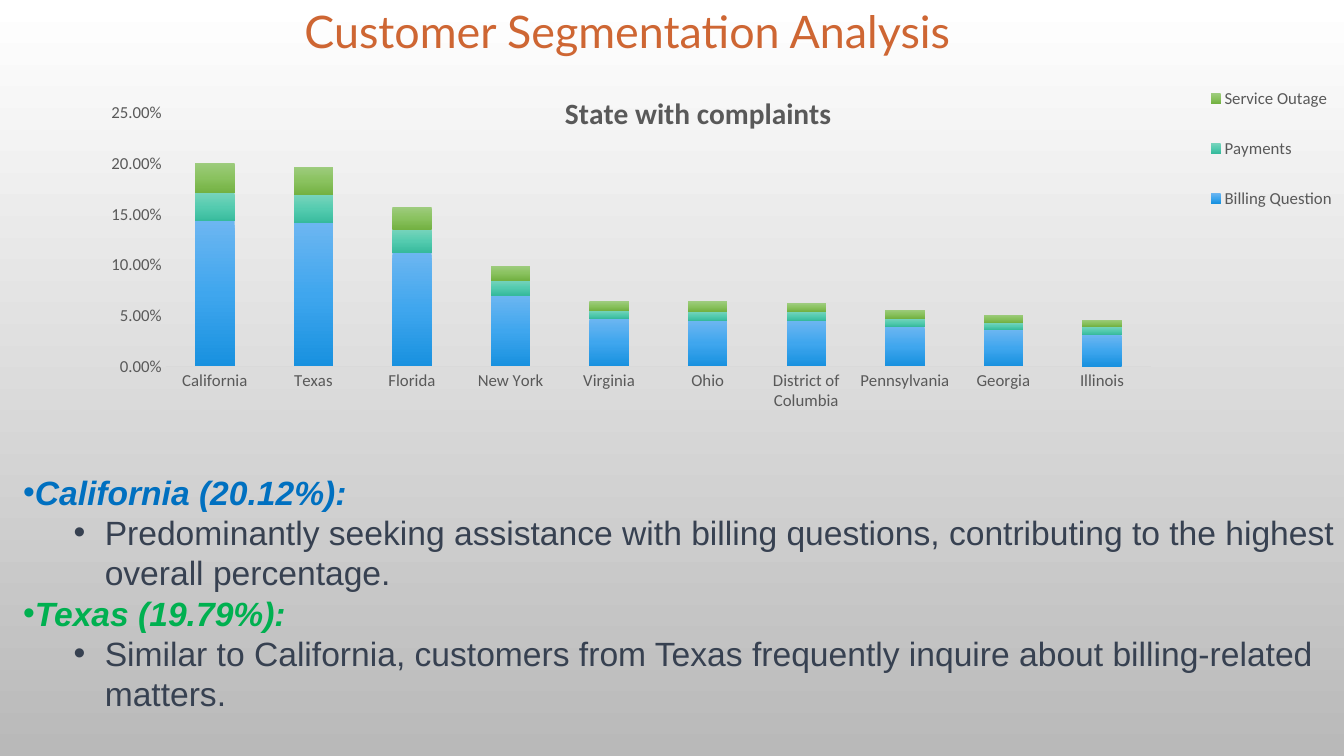
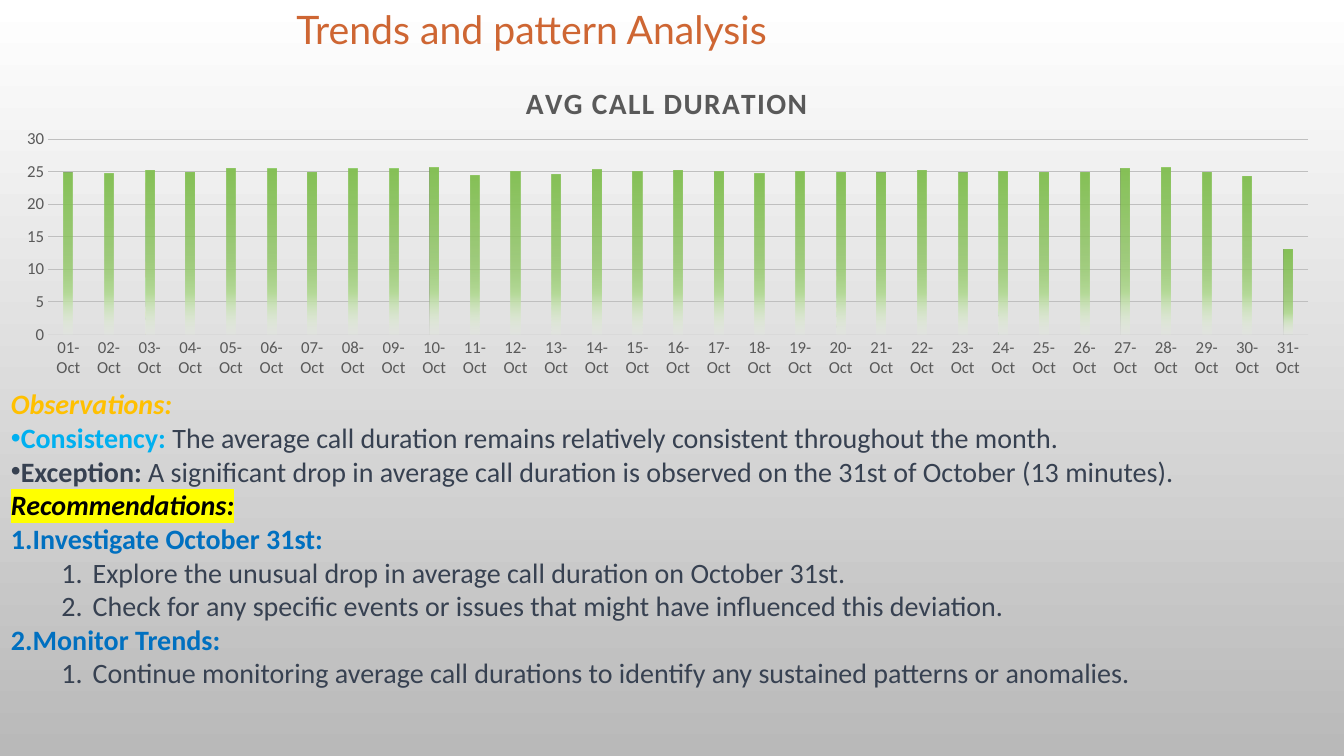
from dataclasses import dataclass

from lxml.etree import SubElement
from pptx import Presentation
from pptx.chart.data import CategoryChartData
from pptx.dml.color import RGBColor
from pptx.enum.chart import XL_CHART_TYPE as ChartType
from pptx.enum.chart import XL_LEGEND_POSITION as LegendPosition
from pptx.enum.chart import XL_TICK_MARK as TickMark
from pptx.enum.text import MSO_ANCHOR as Anchor
from pptx.enum.text import MSO_AUTO_SIZE as AutoSize
from pptx.enum.text import PP_ALIGN as Align
from pptx.oxml.ns import qn
from pptx.util import Inches, Pt


@dataclass(frozen=True)
class Theme:
    """Colours, fonts and type sizes shared by the slides."""

    accent: str = "CE6633"
    ink: str = "374151"
    black: str = "000000"
    blue: str = "0070C0"
    sky: str = "00B0F0"
    green: str = "00B050"
    amber: str = "FFC000"
    marker: str = "FFFF00"
    label: str = "595959"
    axis: str = "D9D9D9"
    grid: str = "BFBFBF"
    backdrop: tuple = ((0, "FFFFFF"), (100, "B9B9B9"))
    billing: tuple = ((0, "6CB6F1"), (50, "3FA6EE"), (100, "1891DF"))
    payments: tuple = ((0, "77D4BC"), (50, "54CBAF"), (100, "36BA9C"))
    outage: tuple = ((0, "9ECC7E"), (50, "8AC25F"), (100, "73B142"))
    fading: tuple = ((0, "86C157"), (51, "86C157", 75),
                     (75, "B6DA9A"), (100, "E7F3DD", 15))
    title_font: str = "Lato"
    chart_font: str = "Calibri"
    chart_size: int = 12
    chart_title_size: int = 21
    leading: float = 1.2


@dataclass(frozen=True)
class Words:
    """A stretch of text with one look."""

    text: str
    color: str
    bold: bool = False
    italic: bool = False
    highlight: str = ""


@dataclass(frozen=True)
class Line:
    """A paragraph with its list marker and level."""

    words: tuple
    marker: str = ""
    level: int = 0


def add(parent, tag, **attributes):
    """Append a namespaced child element."""
    return SubElement(parent, qn(tag), attributes)


def paint_gradient(fill, scope, stops):
    """Fill from top to bottom with (position, colour, opacity) stops."""
    fill.gradient()
    fill.gradient_angle = 270
    stop_list = next(scope.iter(qn("a:gsLst")))
    stop_list.clear()
    for position, color, *opacity in stops:
        stop = add(stop_list, "a:gs", pos=str(position * 1000))
        shade = add(stop, "a:srgbClr", val=color)
        for percent in opacity:
            add(shade, "a:alpha", val=str(percent * 1000))


def place(part, index, shares, inner=False):
    """Fix a chart part at shares of the chart area."""
    for automatic in part.findall(qn("c:layout")):
        part.remove(automatic)
    layout = add(part, "c:layout")
    part.insert(index, layout)
    manual = add(layout, "c:manualLayout")
    if inner:
        add(manual, "c:layoutTarget", val="inner")
    for mode in ("xMode", "yMode"):
        add(manual, f"c:{mode}", val="edge")
    for side, share in zip("xywh", shares):
        add(manual, f"c:{side}", val=str(share))


def style_font(font, words):
    """Give a font the look of the words."""
    font.color.rgb = RGBColor.from_string(words.color)
    font.bold, font.italic = words.bold, words.italic


class Deck:
    """Holds the theme, the presentation and the current slide."""

    def __init__(self, theme):
        """Set the slide size and the shared background."""
        self.theme = theme
        self.show = Presentation()
        self.show.slide_width = Inches(13.33)
        self.show.slide_height = Inches(7.5)
        master = self.show.slide_master
        paint_gradient(master.background.fill, master.element, theme.backdrop)
        self.slide = None

    def box(self, left, top, width, height):
        """Turn percentages of the slide into lengths."""
        across, down = self.show.slide_width, self.show.slide_height
        return [int(share * full / 100) for share, full in
                ((left, across), (top, down), (width, across), (height, down))]

    def new_slide(self, heading, size, area):
        """Start a slide with its title."""
        self.slide = self.show.slides.add_slide(self.show.slide_layouts[5])
        title = self.slide.shapes.title
        title.left, title.top, title.width, title.height = self.box(*area)
        frame = title.text_frame
        frame.text = heading
        frame.auto_size = AutoSize.NONE
        frame.vertical_anchor = Anchor.TOP
        paragraph = frame.paragraphs[0]
        paragraph.alignment = Align.LEFT
        paragraph.font.name = self.theme.title_font
        paragraph.font.size = Pt(size)
        paragraph.font.color.rgb = RGBColor.from_string(self.theme.accent)

    def body(self, lines, font, size, area):
        """Write a list of lines in a text box."""
        frame = self.slide.shapes.add_textbox(*self.box(*area)).text_frame
        frame.word_wrap = True
        for number, line in enumerate(lines):
            paragraph = frame.add_paragraph() if number else frame.paragraphs[0]
            self.list_marker(paragraph, line)
            paragraph.line_spacing = Pt(size * self.theme.leading)
            paragraph.font.name, paragraph.font.size = font, Pt(size)
            for words in line.words:
                run = paragraph.add_run()
                run.text = words.text
                alone = len(line.words) == 1
                style_font(paragraph.font if alone else run.font, words)
                if words.highlight:
                    glow = add(run._r.get_or_add_rPr(), "a:highlight")
                    add(glow, "a:srgbClr", val=words.highlight)

    def list_marker(self, paragraph, line):
        """Set the level, indent and bullet or number."""
        paragraph.level = line.level
        settings = paragraph._p.get_or_add_pPr()
        settings.set("marL", str(Inches(0.81) * line.level))
        settings.set("indent", str(Inches(-0.31) * line.level))
        if line.marker == "•":
            add(settings, "a:buFont", typeface="Arial")
            add(settings, "a:buChar", char=line.marker)
        elif line.marker:
            add(settings, "a:buFont", typeface="+mj-lt")
            add(settings, "a:buAutoNum", type="arabicPeriod")
        else:
            add(settings, "a:buNone")

    def column_chart(self, kind, heading, categories, series, area, plot_area,
                     title_at, gap, overlap, top, step, number_format="General"):
        """Draw columns from (name, values, gradient) series."""
        theme = self.theme
        data = CategoryChartData(number_format=number_format)
        data.categories = categories
        for name, values, _ in series:
            data.add_series(name, values)
        chart = self.slide.shapes.add_chart(kind, *self.box(*area), data).chart
        chart.has_legend = False
        chart.font.name, chart.font.size = theme.chart_font, Pt(theme.chart_size)
        chart.font.color.rgb = RGBColor.from_string(theme.label)
        self.clear_backs(chart)

        plot = chart.plots[0]
        plot.vary_by_categories = False
        plot.gap_width, plot.overlap = gap, overlap
        for column, scope, (_, _, stops) in zip(
                plot.series, chart.element.iter(qn("c:ser")), series):
            paint_gradient(column.format.fill, scope, stops)
        place(next(chart.element.iter(qn("c:plotArea"))), 0, plot_area, inner=True)

        chart.has_title = True
        frame = chart.chart_title.text_frame
        frame.text = heading
        caption = frame.paragraphs[0].font
        caption.name, caption.size = theme.chart_font, Pt(theme.chart_title_size)
        caption.bold = True
        caption.color.rgb = RGBColor.from_string(theme.label)
        place(chart.chart_title.element, 1, title_at)

        for axis in (chart.category_axis, chart.value_axis):
            axis.major_tick_mark = axis.minor_tick_mark = TickMark.NONE
            axis.has_major_gridlines = False
        base = chart.category_axis.format.line
        base.width = Pt(0.75)
        base.color.rgb = RGBColor.from_string(theme.axis)
        scale = chart.value_axis
        scale.format.line.fill.background()
        scale.minimum_scale, scale.maximum_scale = 0, top
        scale.major_unit = step
        scale.tick_labels.number_format = number_format
        scale.tick_labels.number_format_is_linked = False
        return chart

    def clear_backs(self, chart):
        """Let the slide show through the chart."""
        outer = add(chart.element, "c:spPr")
        chart.element.find(qn("c:chart")).addnext(outer)
        plot_back = add(next(chart.element.iter(qn("c:plotArea"))), "c:spPr")
        for back in (outer, plot_back):
            add(back, "a:noFill")
            add(add(back, "a:ln"), "a:noFill")

    def legend(self, chart, shares):
        """Show the legend at the right."""
        chart.has_legend = True
        chart.legend.position = LegendPosition.RIGHT
        chart.legend.include_in_layout = False
        place(next(chart.element.iter(qn("c:legend"))), 1, shares)

    def gridlines(self, chart):
        """Show thin lines across the plot."""
        line = chart.value_axis.major_gridlines.format.line
        line.width = Pt(0.75)
        line.color.rgb = RGBColor.from_string(self.theme.grid)

    def letter_spacing(self, chart, points):
        """Space out the letters of the chart title."""
        for look in chart.chart_title.element.iter(qn("a:defRPr")):
            look.set("spc", str(points * 100))


def segmentation(deck):
    """Build the slide on complaints by state."""
    theme = deck.theme
    deck.new_slide("Customer Segmentation Analysis", 32, (21.9, -0.13, 76.14, 8.53))
    states = ("California", "Texas", "Florida", "New York", "Virginia", "Ohio",
              "District of Columbia", "Pennsylvania", "Georgia", "Illinois")
    complaints = (
        ("Billing Question", (0.143, 0.141, 0.112, 0.07, 0.047, 0.045, 0.045,
                              0.039, 0.036, 0.031), theme.billing),
        ("Payments", (0.028, 0.028, 0.023, 0.015, 0.008, 0.009, 0.009,
                      0.008, 0.007, 0.008), theme.payments),
        ("Service Outage", (0.03, 0.028, 0.022, 0.014, 0.009, 0.01, 0.008,
                            0.009, 0.008, 0.007), theme.outage))
    chart = deck.column_chart(
        ChartType.COLUMN_STACKED, "State with complaints", states, complaints,
        area=(3.4, 0, 98.05, 55.33), plot_area=(0.091, 0.27, 0.748, 0.606),
        title_at=(0.39, 0.21), gap=150, overlap=100, top=0.25, step=0.05,
        number_format="0.00%")
    deck.legend(chart, (0.87, 0.14, 0.12, 0.43))
    findings = (
        ("California (20.12%):", theme.blue,
         "Predominantly seeking assistance with billing questions, "
         "contributing to the highest overall percentage."),
        ("Texas (19.79%):", theme.green,
         "Similar to California, customers from Texas frequently inquire "
         "about billing-related matters."))
    lines = []
    for state, color, finding in findings:
        lines += [Line((Words(state, color, bold=True, italic=True),), "•"),
                  Line((Words(finding, theme.ink),), "•", 1)]
    deck.body(lines, "Arial", 24, (0.98, 61.73, 99.1, 38.2))


def trends(deck):
    """Build the slide on call duration by day."""
    theme = deck.theme
    deck.new_slide("Trends and pattern Analysis", 28, (21.3, 0, 57.31, 7.6))
    days = [f"{day:02}-Oct" for day in range(1, 32)]
    minutes = (24.8, 24.7, 25.2, 24.9, 25.5, 25.4, 24.9, 25.4, 25.4, 25.6, 24.4,
               25, 24.6, 25.3, 25, 25.2, 25, 24.7, 25, 24.9, 24.8, 25.2, 24.8,
               25, 24.9, 24.9, 25.5, 25.6, 24.9, 24.3, 13)
    chart = deck.column_chart(
        ChartType.COLUMN_CLUSTERED, "AVG CALL DURATION", days,
        (("Series 1", minutes, theme.fading),),
        area=(0, 7.2, 99.33, 43.6), plot_area=(0.036, 0.257, 0.944, 0.592),
        title_at=(0.39, 0.07), gap=355, overlap=-70, top=30, step=5)
    deck.gridlines(chart)
    deck.letter_spacing(chart, 1)

    def step(text):
        return Line((Words(text, theme.ink),), "1.", 1)

    def advice(text):
        return Line((Words(text, theme.blue, bold=True),), "1.")

    deck.body((
        Line((Words("Observations:", theme.amber, bold=True, italic=True),)),
        Line((Words("Consistency: ", theme.sky, bold=True),
              Words("The average call duration remains relatively consistent "
                    "throughout the month.", theme.ink)), "•"),
        Line((Words("Exception:", theme.ink, bold=True),
              Words(" A significant drop in average call duration is observed "
                    "on the 31st of October (13 minutes).", theme.ink)), "•"),
        Line((Words("Recommendations:", theme.black, True, True, theme.marker),)),
        advice("Investigate October 31st:"),
        step("Explore the unusual drop in average call duration on October 31st."),
        step("Check for any specific events or issues that might have "
             "influenced this deviation."),
        advice("Monitor Trends:"),
        step("Continue monitoring average call durations to identify any "
             "sustained patterns or anomalies."),
    ), "Calibri", 20, (0.08, 50.53, 99.33, 49.4))


def main():
    """Build and save the presentation."""
    deck = Deck(Theme())
    segmentation(deck)
    trends(deck)
    deck.show.save("out.pptx")


if __name__ == "__main__":
    main()
